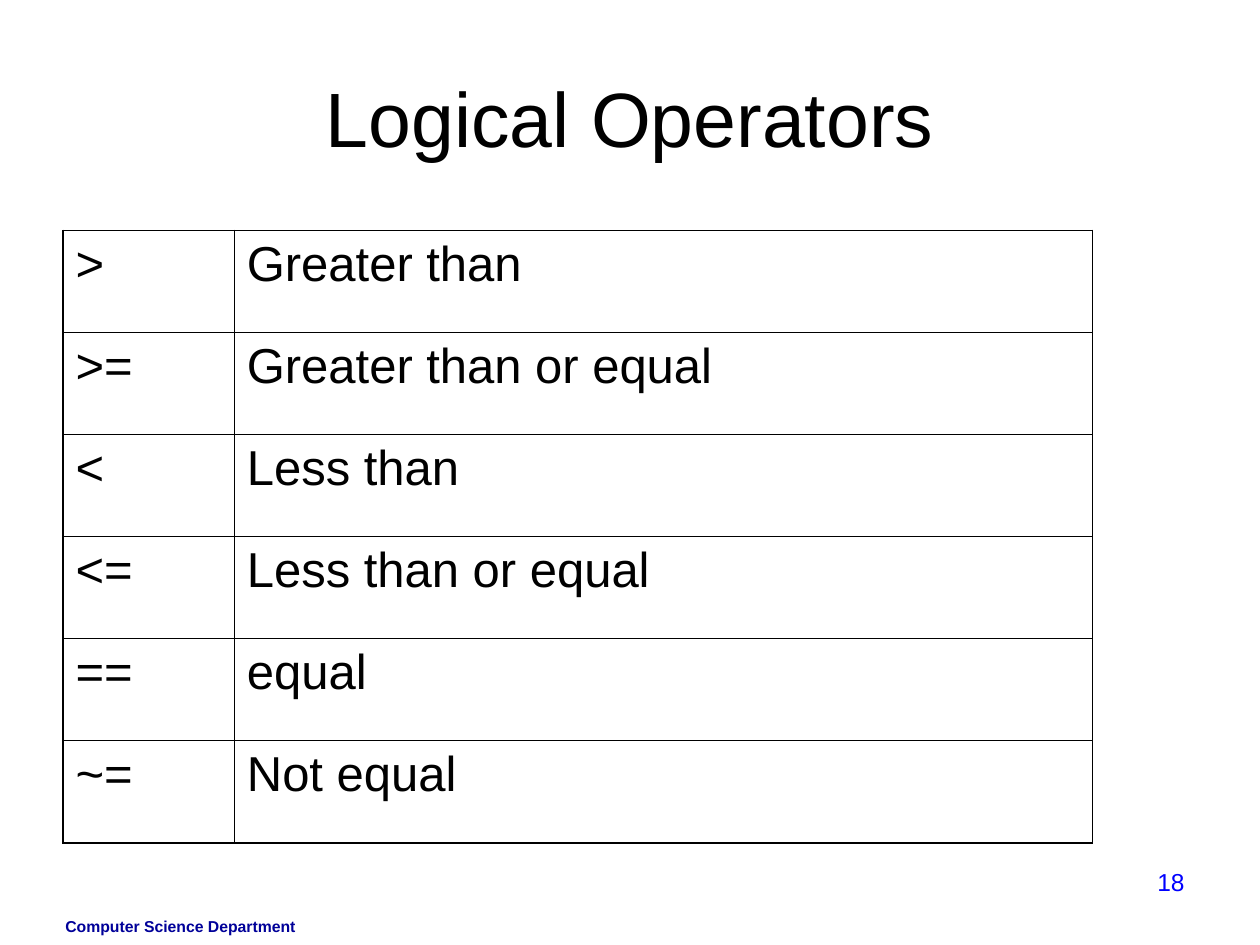
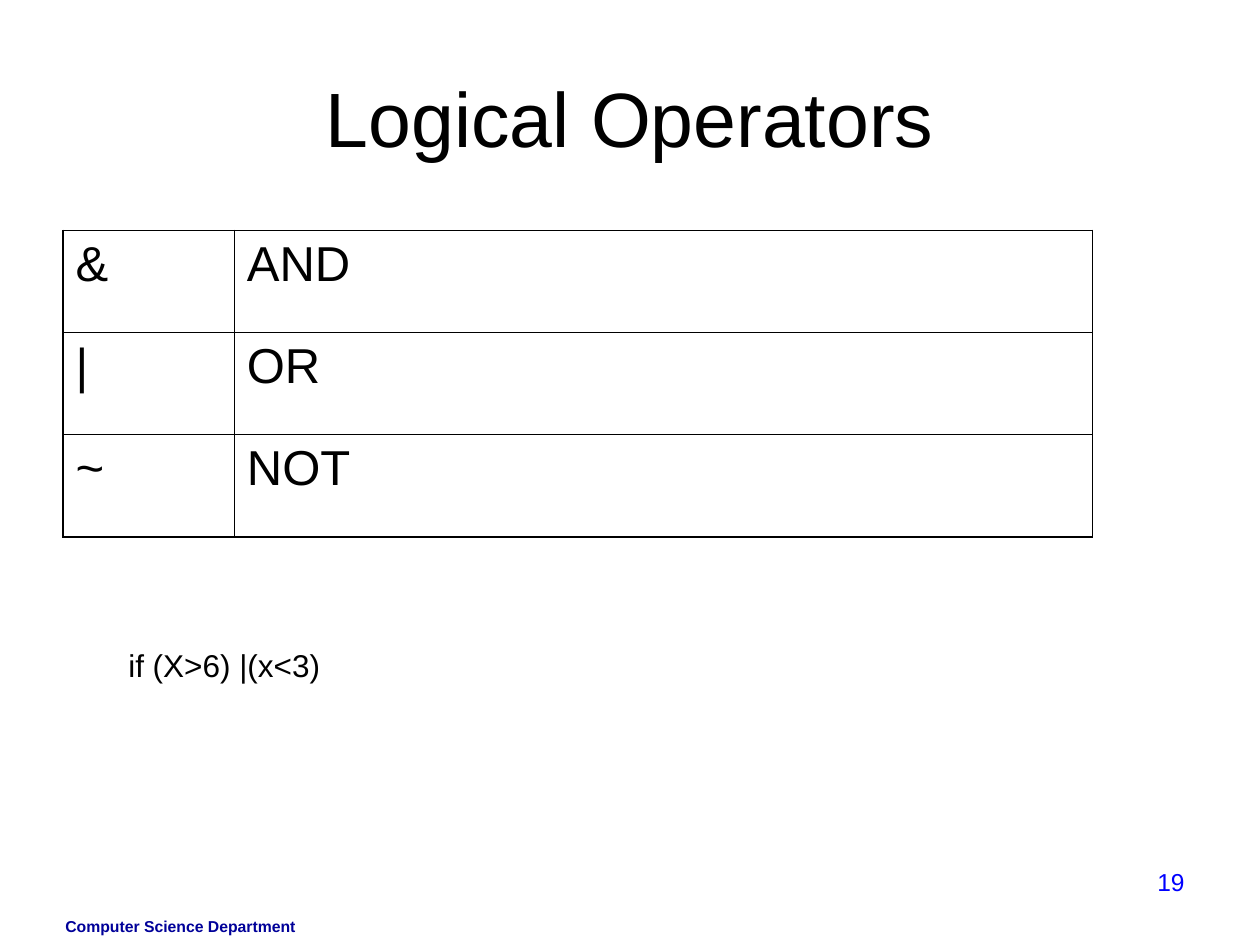
from pptx import Presentation
from pptx.dml.color import RGBColor
from pptx.enum import text as t
from pptx.oxml.ns import qn
from pptx.util import Inches, Pt
from lxml import etree

FONT = "Arial"
INK, NAVY, BLUE = "000000", "000099", "0000FF"
THICK, THIN = 1.08, 0.45
TITLE = (0.5, 0.3, 9, 1.25)
FOOT = (0.42, 7.23, 2.33, 0.27)
NUMBER = (7.17, 6.83, 2.33, 0.52)
COLS, ROW = (1.36, 6.81), 0.81


def rgb(code):
    return RGBColor.from_string(code)


def write(frame, words, size=18, color=INK, bold=False,
          align=t.PP_ALIGN.LEFT, anchor=t.MSO_ANCHOR.TOP):
    frame.word_wrap = True
    frame.vertical_anchor = anchor
    para = frame.paragraphs[0]
    para.text = words
    para.alignment = align
    font = para.font
    font.name, font.size, font.bold = FONT, Pt(size), bold
    font.color.rgb = rgb(color)


def add_text(slide, box, words, **style):
    shape = slide.shapes.add_textbox(*map(Inches, box))
    write(shape.text_frame, words, **style)


def set_edge(cell, side, width):
    props = cell._tc.get_or_add_tcPr()
    line = etree.SubElement(props, qn(f"a:ln{side}"), w=str(Pt(width)))
    fill = etree.SubElement(line, qn("a:solidFill"))
    etree.SubElement(fill, qn("a:srgbClr"), val=INK)


def add_grid(slide, left, top, rows):
    """Add a two-column table with a thick frame and thin inner rules."""
    count = len(rows)
    table = slide.shapes.add_table(
        count, len(COLS), Inches(left), Inches(top),
        Inches(sum(COLS)), Inches(ROW * count)).table
    table.first_row = table.horz_banding = False
    for col, width in zip(table.columns, COLS):
        col.width = Inches(width)
    for r, row in enumerate(rows):
        table.rows[r].height = Inches(ROW)
        for c, words in enumerate(row):
            cell = table.cell(r, c)
            outer = {"L": c == 0, "R": c == len(COLS) - 1,
                     "T": r == 0, "B": r == count - 1}
            for side, edge in outer.items():
                set_edge(cell, side, THICK if edge else THIN)
            cell.fill.background()
            write(cell.text_frame, words, size=28)


def add_page(deck, title, number, rows):
    slide = deck.slides.add_slide(deck.slide_layouts[5])
    head = slide.shapes.title
    head.left, head.top, head.width, head.height = map(Inches, TITLE)
    write(head.text_frame, title, size=44, align=t.PP_ALIGN.CENTER,
          anchor=t.MSO_ANCHOR.MIDDLE)
    add_text(slide, FOOT, "Computer Science Department",
             size=9, color=NAVY, bold=True)
    add_grid(slide, 0.5, 1.83, rows)
    add_text(slide, NUMBER, str(number), size=14, color=BLUE,
             align=t.PP_ALIGN.RIGHT)
    return slide


def main():
    deck = Presentation()
    deck.slide_width, deck.slide_height = Inches(10), Inches(7.5)
    add_page(deck, "Logical Operators", 18, [
        (">", "Greater than"),
        (">=", "Greater than or equal"),
        ("<", "Less than"),
        ("<=", "Less than or equal"),
        ("==", "equal"),
        ("~=", "Not equal"),
    ])
    logic = add_page(deck, "Logical Operators", 19, [
        ("&", "AND"),
        ("|", "OR"),
        ("~", "NOT"),
    ])
    add_text(logic, (0.92, 5.08, 7, 0.4), "if (X>6) |(x<3)")
    deck.save("out.pptx")


if __name__ == "__main__":
    main()
